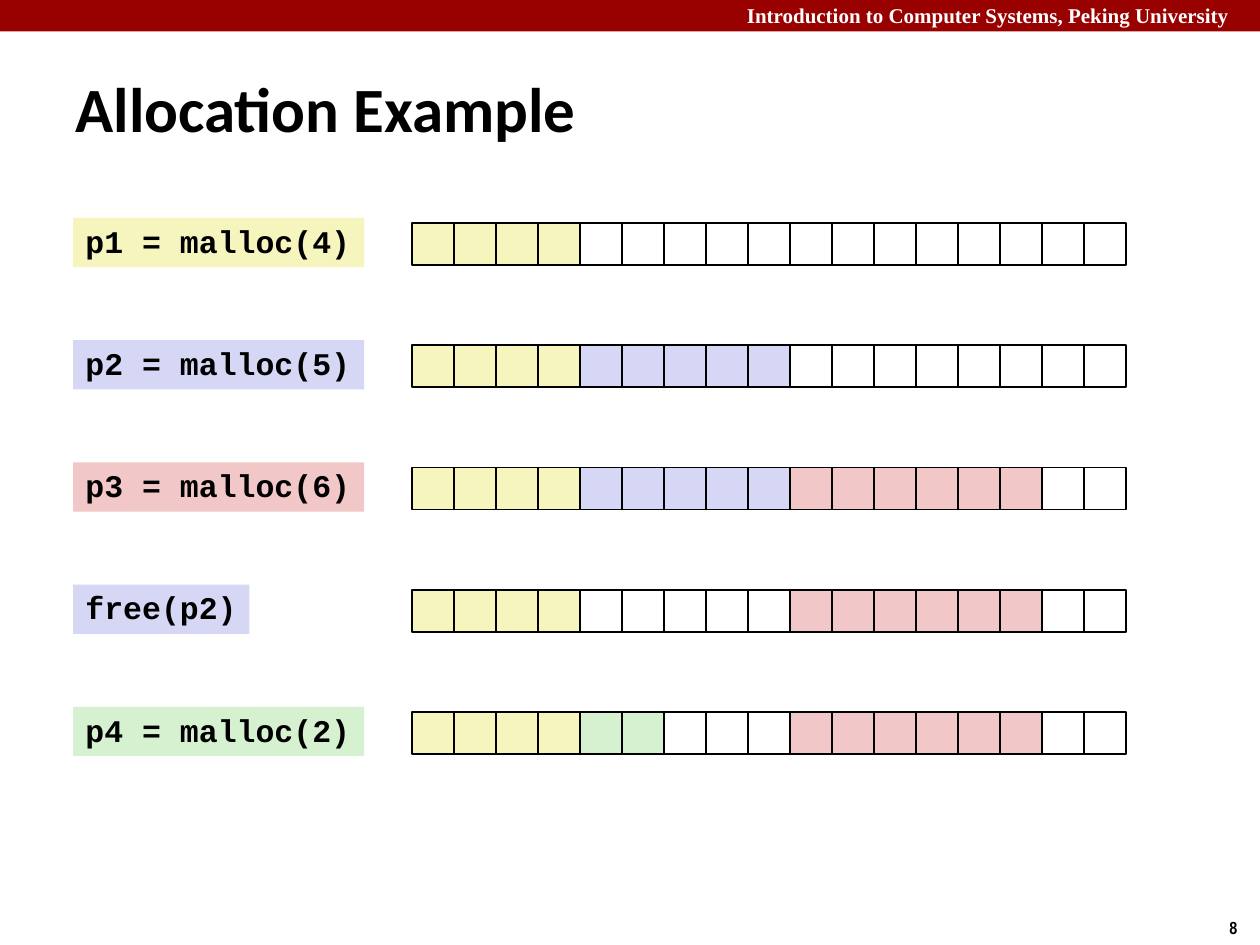
from dataclasses import dataclass

from pptx import Presentation
from pptx import util as u
from pptx.dml.color import RGBColor
from pptx.enum import shapes, text


@dataclass(frozen=True)
class Theme:
    banner: str = "990000"
    ink: str = "000000"
    free: str = "FFFFFF"
    p1: str = "F6F5BD"
    p2: str = "D6D6F5"
    p3: str = "F1C7C7"
    p4: str = "D5F1CF"
    title_size: int = 36
    code_size: int = 18
    banner_size: int = 12
    number_size: int = 10
    line_width: int = 1


THEME = Theme()
WORDS = 17     # memory words in each row
WORD = 1 / 3   # side of one word, in inches
ROW_STEP = 0.97

# Each step: code, label width, colour, then the runs of words in its heap
STEPS = [
    ("p1 = malloc(4)", 2.31, THEME.p1, [(THEME.p1, 4)]),
    ("p2 = malloc(5)", 2.31, THEME.p2, [(THEME.p1, 4), (THEME.p2, 5)]),
    ("p3 = malloc(6)", 2.31, THEME.p3,
     [(THEME.p1, 4), (THEME.p2, 5), (THEME.p3, 6)]),
    ("free(p2)", 1.4, THEME.p2,
     [(THEME.p1, 4), (THEME.free, 5), (THEME.p3, 6)]),
    ("p4 = malloc(2)", 2.31, THEME.p4,
     [(THEME.p1, 4), (THEME.p4, 2), (THEME.free, 3), (THEME.p3, 6)]),
]


def inches(*lengths):
    return [u.Inches(length) for length in lengths]


def add_rectangle(parent, box, fill, outline=None):
    shape = parent.add_shape(shapes.MSO_SHAPE.RECTANGLE, *inches(*box))
    shape.shadow.inherit = False
    shape.fill.solid()
    shape.fill.fore_color.rgb = RGBColor.from_string(fill)
    if outline:
        shape.line.color.rgb = RGBColor.from_string(outline)
        shape.line.width = u.Pt(THEME.line_width)
    else:
        shape.line.fill.background()
    return shape


def set_text(shape, words, font_name, size, color, wrap=True):
    frame = shape.text_frame
    frame.text = words
    frame.word_wrap = wrap
    paragraph = frame.paragraphs[0]
    paragraph.alignment = text.PP_ALIGN.LEFT
    font = paragraph.runs[0].font
    font.name, font.size, font.bold = font_name, u.Pt(size), True
    font.color.rgb = RGBColor.from_string(color)
    return paragraph


def add_banner(slide, box):
    left, top, width, height = box
    add_rectangle(slide.shapes, box, THEME.banner)
    course = slide.shapes.add_textbox(
        *inches(left + 0.583 * width, top - 0.03, 0.424 * width, 0.3))
    set_text(course, "Introduction to Computer Systems, Peking University",
             "Times New Roman", THEME.banner_size, THEME.free)


def add_title(slide, box):
    title = slide.shapes.title
    title.left, title.top, title.width, title.height = inches(*box)
    title.text_frame.vertical_anchor = text.MSO_ANCHOR.MIDDLE
    set_text(title, "Allocation Example", "Calibri", THEME.title_size, THEME.ink)


def add_page_number(slide, box):
    number = slide.shapes.add_textbox(*inches(*box))
    set_text(number, "8", "Arial Narrow", THEME.number_size, THEME.ink)


def add_heap(slide, left, top, runs):
    colors = [color for color, count in runs for _ in range(count)]
    colors += [THEME.free] * (WORDS - len(colors))
    group = slide.shapes.add_group_shape()
    for column, color in enumerate(colors):
        add_rectangle(group.shapes, (left + column * WORD, top, WORD, WORD),
                      color, THEME.ink)


def add_step(slide, left, top, step):
    code, label_width, color, runs = step
    add_heap(slide, left + 2.69, top + 0.04, runs)
    label = add_rectangle(slide.shapes, (left, top, label_width, 0.39), color)
    paragraph = set_text(label, code, "Courier New", THEME.code_size,
                         THEME.ink, wrap=False)
    paragraph.line_spacing = 0.94


def main():
    presentation = Presentation()
    presentation.slide_width, presentation.slide_height = inches(10, 7.5)
    slide = presentation.slides.add_slide(presentation.slide_layouts[5])

    # Page frame
    add_banner(slide, (0, 0, 10, 0.25))
    add_page_number(slide, (9.66, 7.23, 0.34, 0.27))
    add_title(slide, (0.5, 0.54, 7.07, 0.63))

    # Allocation steps, one to a row
    for row, step in enumerate(STEPS):
        add_step(slide, 0.58, 1.73 + row * ROW_STEP, step)

    presentation.save("out.pptx")


if __name__ == "__main__":
    main()
